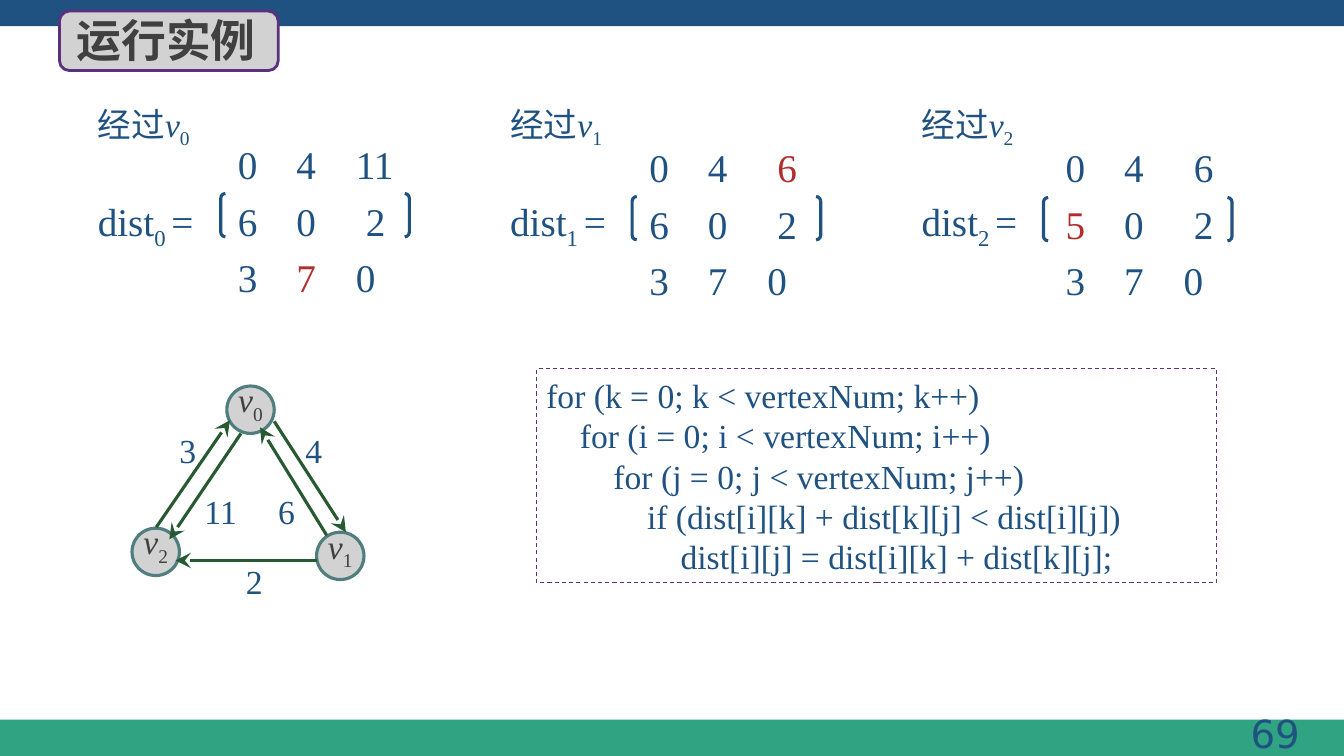
from lxml.etree import SubElement
from pptx import Presentation
from pptx.dml.color import RGBColor
from pptx.enum.dml import MSO_LINE
from pptx.enum.shapes import MSO_CONNECTOR, MSO_SHAPE
from pptx.enum.text import MSO_ANCHOR, PP_ALIGN
from pptx.oxml.ns import qn
from pptx.util import Inches, Pt

BLUE, RED, GREEN, PURPLE = "1F5281", "B42D2D", "285A32", "5C307D"
GRAY, DARK, TEAL = "D2D2D2", "404040", "507D7D"
SERIF = "Times New Roman"


def color(value):
    return RGBColor.from_string(value)


def add_box(page, kind, area, fill=None, line=None, width=1):
    box = page.shapes.add_shape(kind, *map(Inches, area))
    box.shadow.inherit = False
    if fill:
        box.fill.solid()
        box.fill.fore_color.rgb = color(fill)
    else:
        box.fill.background()
    if line:
        box.line.color.rgb = color(line)
        box.line.width = Pt(width)
    else:
        box.line.fill.background()
    return box


def prepare(box, margins=(0.1, 0.05), anchor=MSO_ANCHOR.TOP, wrap=True):
    frame = box.text_frame
    frame.word_wrap = wrap
    frame.vertical_anchor = anchor
    frame.margin_left = frame.margin_right = Inches(margins[0])
    frame.margin_top = frame.margin_bottom = Inches(margins[1])
    return frame


def add_text(page, area, **options):
    return prepare(page.shapes.add_textbox(*map(Inches, area)), **options)


def style(para, size, fill=BLUE, name=SERIF, align=PP_ALIGN.LEFT, bold=False):
    para.alignment = align
    para.font.size = Pt(size)
    para.font.name = name
    para.font.bold = bold
    para.font.color.rgb = color(fill)


def add_span(para, text, italic=False, subscript=False, fill=None):
    span = para.add_run()
    span.text = text
    if italic:
        span.font.italic = True
    if subscript:
        span.font._element.set("baseline", "-25000")
    if fill:
        span.font.color.rgb = color(fill)


def add_tabs(para, stops):
    tabs = SubElement(para._p.get_or_add_pPr(), qn("a:tabLst"))
    for stop in stops:
        SubElement(tabs, qn("a:tab"), pos=str(Inches(stop)), algn="l")


def add_frame(page):
    add_box(page, MSO_SHAPE.RECTANGLE, (0, 7.14, 13.33, 0.36), "30A383")
    add_box(page, MSO_SHAPE.RECTANGLE, (0, 0, 13.33, 0.26), BLUE)
    number = add_text(page, (10.05, 6.99, 2.94, 0.57)).paragraphs[0]
    number.text = "69"
    style(number, 27.6, name="DejaVu Sans", align=PP_ALIGN.RIGHT)


def add_title(page, left, top):
    add_box(page, MSO_SHAPE.ROUNDED_RECTANGLE, (left, top, 2.17, 0.59), GRAY, PURPLE, 2)
    frame = add_text(page, (left + 0.07, top - 0.04, 2.1, 0.64),
                     anchor=MSO_ANCHOR.MIDDLE, wrap=False)
    title = frame.paragraphs[0]
    title.text = "运行实例"
    style(title, 32, DARK, "Noto Sans CJK SC", bold=True)


def add_matrix(page, index, left, matrix_at, bracket_at, rows, changed):
    frame = add_text(page, (left, 1.03, 1.38, 1.57), margins=(0, 0))
    via = frame.paragraphs[0]
    add_span(via, "经过")
    add_span(via, "v", italic=True)
    add_span(via, index, subscript=True)
    style(via, 24)
    name = frame.add_paragraph()
    name.space_before = Pt(34)
    add_span(name, "dist")
    add_span(name, index + " ", subscript=True)
    add_span(name, "=")
    style(name, 28)

    frame = add_text(page, (*matrix_at, 1.96, 1.76), margins=(0, 0.01),
                     anchor=MSO_ANCHOR.MIDDLE)
    for row, values in enumerate(rows):
        para = frame.paragraphs[0] if row == 0 else frame.add_paragraph()
        para.line_spacing = 1.2
        add_tabs(para, (0.58, 1.17 if values[2] in ("0", "11") else 1.27))
        for column, value in enumerate(values):
            if column:
                add_span(para, "\t")
            add_span(para, value, fill=RED if (row, column) == changed else None)
        style(para, 28)
    bracket = add_box(page, MSO_SHAPE.DOUBLE_BRACKET, (*bracket_at, 1.87, 0.43),
                      line=BLUE, width=2.25)
    bracket.adjustments[0] = 0.106


def add_edge(page, start, end):
    edge = page.shapes.add_connector(MSO_CONNECTOR.STRAIGHT, *map(Inches, (*start, *end)))
    edge.line.color.rgb = color(GREEN)
    edge.line.width = Pt(2.25)
    SubElement(edge.line._get_or_add_ln(), qn("a:tailEnd"), type="stealth", w="lg", len="lg")
    SubElement(edge._element.spPr, qn("a:effectLst"))


def add_graph(page, left, top):
    def place(point):
        return left + point[0], top + point[1]

    for index, corner in (("0", (0.94, 0)), ("2", (0, 1.41)), ("1", (1.83, 1.45))):
        node = add_box(page, MSO_SHAPE.OVAL, (*place(corner), 0.47, 0.47), GRAY, TEAL, 2.25)
        para = prepare(node, margins=(0, 0), anchor=MSO_ANCHOR.MIDDLE).paragraphs[0]
        para.line_spacing = Pt(22)
        add_span(para, "v", italic=True)
        add_span(para, index, subscript=True)
        style(para, 24, DARK, align=PP_ALIGN.CENTER)

    edges = (
        ("4", (1.41, 0.35), (2.12, 1.45), (1.62, 0.39)),
        ("2", (1.83, 1.73), (0.43, 1.73), (1.03, 1.69)),
        ("6", (1.93, 1.48), (1.27, 0.41), (1.35, 0.99)),
        ("11", (1.08, 0.47), (0.37, 1.52), (0.62, 0.99)),
        ("3", (0.24, 1.4), (0.97, 0.34), (0.37, 0.39)),
    )
    for weight, start, end, corner in edges:
        add_edge(page, place(start), place(end))
        label = add_text(page, (*place(corner), 0.53, 0.5), wrap=False).paragraphs[0]
        label.text = weight
        style(label, 24)


def add_code(page, area):
    box = add_box(page, MSO_SHAPE.RECTANGLE, area, line=PURPLE, width=0.75)
    box.line.dash_style = MSO_LINE.DASH
    frame = prepare(box, anchor=MSO_ANCHOR.MIDDLE)
    lines = (
        "for (k = 0; k < vertexNum; k++)",
        "    for (i = 0; i < vertexNum; i++)",
        "        for (j = 0; j < vertexNum; j++)",
        "            if (dist[i][k] + dist[k][j] < dist[i][j])",
        "                dist[i][j] = dist[i][k] + dist[k][j];",
    )
    for number, line in enumerate(lines):
        para = frame.add_paragraph() if number else frame.paragraphs[0]
        para.text = line
        style(para, 24)


def main():
    deck = Presentation()
    deck.slide_width, deck.slide_height = Inches(13.33), Inches(7.5)
    page = deck.slides.add_slide(deck.slide_layouts[6])
    add_frame(page)
    add_matrix(page, "0", 0.97, (2.36, 1.26), (2.19, 1.92),
               (("0", "4", "11"), ("6", "0", "2"), ("3", "7", "0")), (2, 1))
    add_matrix(page, "1", 5.06, (6.44, 1.29), (6.27, 1.95),
               (("0", "4", "6"), ("6", "0", "2"), ("3", "7", "0")), (0, 2))
    add_matrix(page, "2", 9.14, (10.57, 1.29), (10.35, 1.96),
               (("0", "4", "6"), ("5", "0", "2"), ("3", "7", "0")), (1, 0))
    add_code(page, (5.32, 3.66, 6.75, 2.12))
    add_graph(page, 1.31, 3.83)
    add_title(page, 0.59, 0.11)
    deck.save("out.pptx")


if __name__ == "__main__":
    main()
